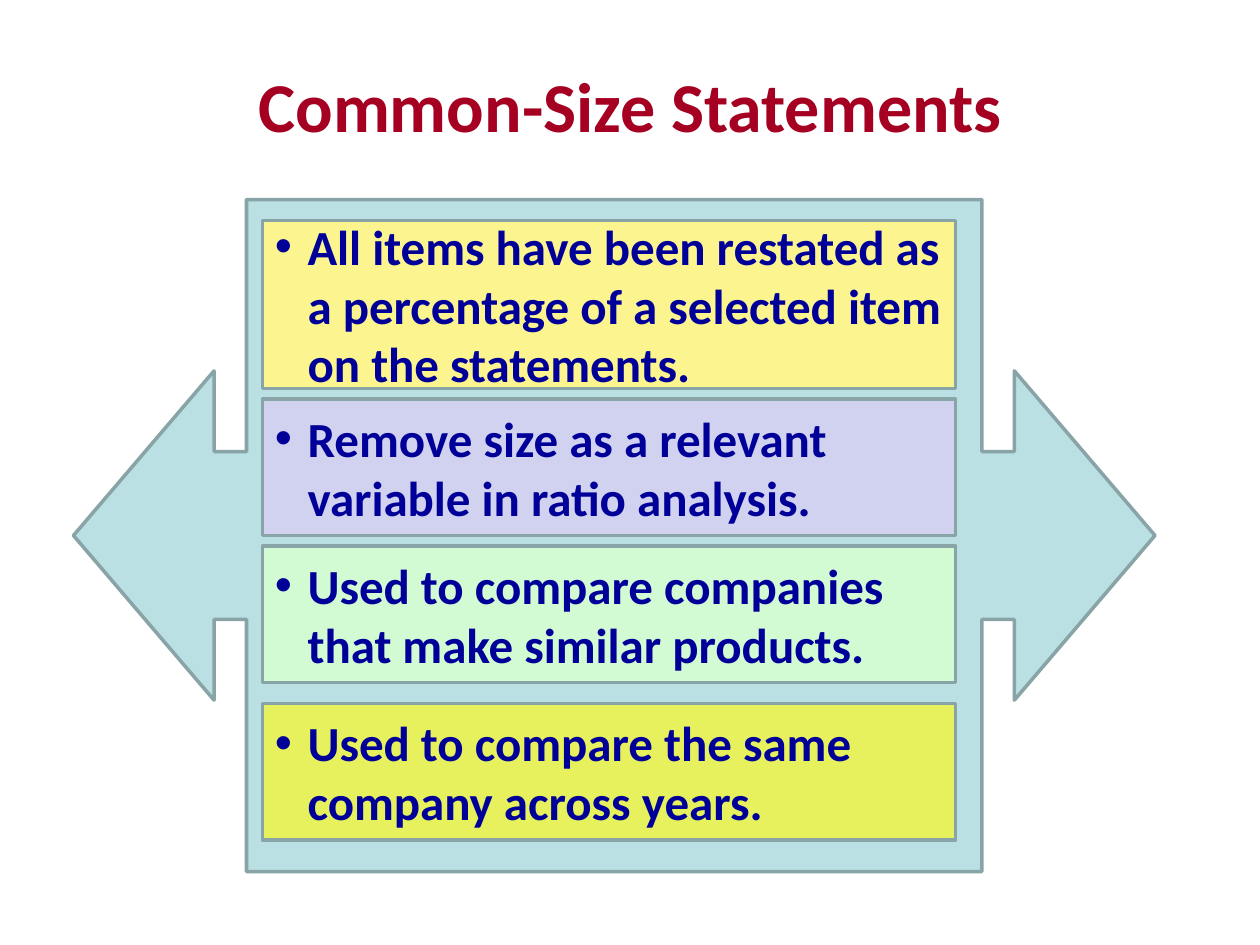
from lxml.etree import SubElement
from pptx import Presentation
from pptx.dml.color import RGBColor
from pptx.enum.shapes import MSO_SHAPE
from pptx.enum.text import MSO_ANCHOR, PP_ALIGN
from pptx.oxml.ns import qn
from pptx.util import Inches, Pt

UNIT = Inches(1) // 12  # grid step: the slide is 120 columns by 90 rows
TEXT = {"name": "Calibri", "size": Pt(28), "bold": True}
# One quarter of the double arrow, as shares of its half width and half height
ARROW_QUARTER = [(0.68, 1), (0.68, 0.25), (0.74, 0.25), (0.74, 0.49), (1, 0)]
BULLETS = [  # top row, rows, fill, text
    (21, 16, "FCF48E", "All items have been restated as a percentage "
                       "of a selected item on the statements."),
    (38, 13, "D1D1F0", "Remove size as a relevant variable in ratio analysis."),
    (52, 13, "D2FAD3", "Used to compare companies that make similar products."),
    (67, 13, "E6F15D", "Used to compare the same company across years."),
]


def rgb(value):
    return RGBColor.from_string(value)


def grid(*box):
    return [round(n * UNIT) for n in box]


def paint(sp, fill):
    sp.shadow.inherit = False
    sp.fill.solid()
    sp.fill.fore_color.rgb = rgb(fill)
    sp.line.color.rgb = rgb("89A4A7")
    sp.line.width = Pt(2)


def write(sp, text, color, align, **font):
    tf = sp.text_frame
    tf.word_wrap = True
    tf.vertical_anchor = MSO_ANCHOR.MIDDLE
    p = tf.paragraphs[0]
    p.alignment = align
    r = p.add_run()
    r.text = text
    for name, value in {**TEXT, **font}.items():
        setattr(r.font, name, value)
    r.font.color.rgb = rgb(color)
    return p


def add_title(s, box, text):
    sp = s.shapes.add_textbox(*grid(*box))
    write(sp, text, "A50021", PP_ALIGN.CENTER, size=Pt(40))


def add_double_arrow(s, box):
    x, y, w, h = grid(*box)
    right = ([(a, -b) for a, b in ARROW_QUARTER]
             + [(a, b) for a, b in ARROW_QUARTER[-2::-1]])
    outline = right + [(-a, -b) for a, b in right]
    points = [(round(x + w / 2 * (1 + a)), round(y + h / 2 * (1 + b)))
              for a, b in outline]
    builder = s.shapes.build_freeform(*points[0])
    builder.add_line_segments(points[1:], close=True)
    paint(builder.convert_to_shape(), "BBE0E3")


def add_bullet_box(s, box, fill, text):
    sp = s.shapes.add_shape(MSO_SHAPE.RECTANGLE, *grid(*box))
    paint(sp, fill)
    pPr = write(sp, text, "000099", PP_ALIGN.LEFT)._p.get_or_add_pPr()
    pPr.set("marL", str(Inches(0.26)))
    pPr.set("indent", str(-Inches(0.26)))
    SubElement(pPr, qn("a:buFont"), typeface="Arial")
    SubElement(pPr, qn("a:buChar"), char="•")


def main():
    prs = Presentation()
    prs.slide_width, prs.slide_height = grid(120, 90)
    s = prs.slides.add_slide(prs.slide_layouts[6])
    add_double_arrow(s, (7, 19, 103, 64))
    add_title(s, (6, 4, 108, 12), "Common-Size Statements")
    for top, rows, fill, text in BULLETS:
        add_bullet_box(s, (25, top, 66, rows), fill, text)
    prs.save("out.pptx")


if __name__ == "__main__":
    main()
